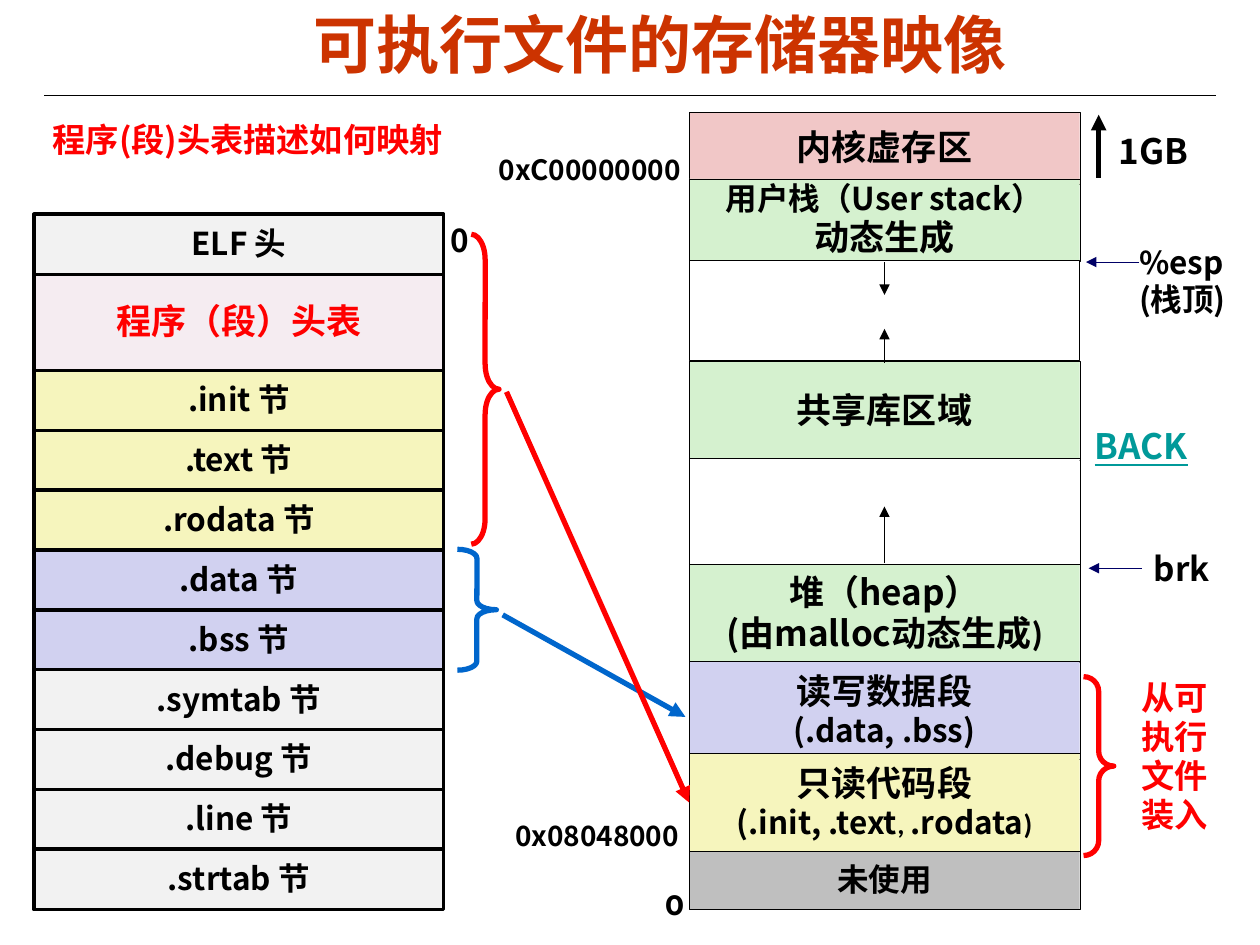
from dataclasses import dataclass
from typing import Optional

from lxml.etree import SubElement
from pptx import Presentation
from pptx.dml.color import RGBColor
from pptx.enum.shapes import MSO_CONNECTOR, MSO_SHAPE
from pptx.enum.text import MSO_ANCHOR, MSO_AUTO_SIZE, PP_ALIGN
from pptx.oxml.ns import qn
from pptx.util import Inches, Pt

COLORS = {
    "black": "000000", "white": "FFFFFF", "title": "CC3300", "red": "FF0000",
    "blue": "0066CC", "navy": "000066", "teal": "009999", "pink": "F1C7C7",
    "green": "D5F1CF", "lilac": "D1D1F0", "yellow": "F6F5BD", "gray": "BFBFBF",
    "light": "F2F2F2", "plum": "993366",
}
SANS = "Noto Sans CJK SC"
SECTION_LEFT, SECTION_WIDTH = 0.27, 3.25
REGION_LEFT, REGION_WIDTH = 5.47, 3.1


@dataclass
class Span:
    text: str
    size: int = 18
    font: str = SANS


@dataclass
class Cell:
    top: float
    height: float
    fill: str
    lines: list[list[Span]]
    color: str = "black"
    line_width: float = 0.26
    opacity: Optional[int] = None


@dataclass
class Label:
    left: float
    top: float
    width: float
    height: float
    lines: list[list[Span]]
    color: str = "black"
    wrap: bool = True
    spacing: float = 1.0
    side_inset: float = 0.1


@dataclass
class Arrow:
    start: tuple[float, float]
    end: tuple[float, float]
    color: str = "black"
    width: float = 0.26
    head: bool = True


@dataclass
class Brace:
    left: float
    top: float
    width: float
    height: float
    curve: float
    color: str


def rgb(name: str) -> RGBColor:
    return RGBColor.from_string(COLORS[name])


def write_text(box, lines: list[list[Span]], *, color: str = "black", align=PP_ALIGN.LEFT,
               anchor=MSO_ANCHOR.TOP, wrap: bool = True, spacing: float = 1.0,
               side_inset: float = 0.1, underline: bool = False) -> None:
    frame = box.text_frame
    frame.word_wrap = wrap
    frame.vertical_anchor = anchor
    frame.margin_left = frame.margin_right = Inches(side_inset)
    frame.margin_top = frame.margin_bottom = Inches(0.05)
    for index, spans in enumerate(lines):
        para = frame.add_paragraph() if index else frame.paragraphs[0]
        para.alignment = align
        para.line_spacing = spacing
        for span in spans:
            run = para.add_run()
            run.text = span.text
            run.font.size = Pt(span.size)
            run.font.bold = True
            run.font.underline = underline
            run.font.color.rgb = rgb(color)
            run.font.name = span.font
            SubElement(run.font._element, qn("a:ea"), typeface=SANS)


def draw_cell(page, cell: Cell, left: float, width: float) -> None:
    box = page.shapes.add_shape(MSO_SHAPE.RECTANGLE, Inches(left), Inches(cell.top),
                                Inches(width), Inches(cell.height))
    box.shadow.inherit = False
    box.fill.solid()
    box.fill.fore_color.rgb = rgb(cell.fill)
    if cell.opacity is not None:
        tint = box._element.spPr.find(qn("a:solidFill"))[0]
        SubElement(tint, qn("a:alpha"), val=str(cell.opacity * 1000))
    box.line.color.rgb = rgb("black")
    box.line.width = Pt(cell.line_width)
    write_text(box, cell.lines, color=cell.color, align=PP_ALIGN.CENTER,
               anchor=MSO_ANCHOR.MIDDLE, wrap=False, spacing=0.98)


def draw_label(page, label: Label, underline: bool = False) -> None:
    box = page.shapes.add_textbox(Inches(label.left), Inches(label.top),
                                  Inches(label.width), Inches(label.height))
    write_text(box, label.lines, color=label.color, wrap=label.wrap, underline=underline,
               spacing=label.spacing, side_inset=label.side_inset)
    box.text_frame.auto_size = MSO_AUTO_SIZE.SHAPE_TO_FIT_TEXT


def draw_arrow(page, arrow: Arrow) -> None:
    points = [Inches(value) for value in (*arrow.start, *arrow.end)]
    connector = page.shapes.add_connector(MSO_CONNECTOR.STRAIGHT, *points)
    connector.line.color.rgb = rgb(arrow.color)
    connector.line.width = Pt(arrow.width)
    if arrow.head:
        SubElement(connector.line._get_or_add_ln(), qn("a:tailEnd"), type="triangle")
    SubElement(connector._element.spPr, qn("a:effectLst"))


def draw_brace(page, brace: Brace) -> None:
    shape = page.shapes.add_shape(MSO_SHAPE.RIGHT_BRACE, Inches(brace.left), Inches(brace.top),
                                  Inches(brace.width), Inches(brace.height))
    shape.shadow.inherit = False
    shape.adjustments[0] = brace.curve
    shape.adjustments[1] = 0.5
    shape.fill.background()
    shape.line.color.rgb = rgb(brace.color)
    shape.line.width = Pt(3)


REGIONS = [
    Cell(0.89, 0.57, "pink", [[Span("内核虚存区", 20)]]),
    Cell(1.42, 0.65, "green", [[Span("用户栈（User stack）")], [Span("动态生成", 20, "Calibri")]]),
    Cell(2.07, 0.79, "white", [], line_width=0.75),
    Cell(2.87, 0.78, "green", [[Span("共享库区域", 20)]]),
    Cell(3.64, 0.84, "white", []),
    Cell(4.48, 0.78, "green", [[Span("堆（heap）", 20)],
                               [Span("(由malloc动态生成", 20), Span(")", 20, "Calibri")]]),
    Cell(5.25, 0.78, "lilac", [[Span("读写数据段", 20)], [Span("(.data, .bss)")]]),
    Cell(5.98, 0.78, "yellow", [[Span("只读代码段", 20)],
                                [Span("(.init, .text"), Span(", ", 16, "Calibri"),
                                 Span(".rodata"), Span(")", 16, "Calibri")]]),
    Cell(6.76, 0.46, "gray", [[Span("未使用")]]),
]
SECTION_FILLS = {
    "init": "yellow", "text": "yellow", "rodata": "yellow", "data": "lilac", "bss": "lilac",
    "symtab": "light", "debug": "light", "line": "light", "strtab": "light",
}
SECTIONS = [
    Cell(1.7, 0.48, "light", [[Span("ELF 头")]], line_width=2),
    Cell(2.18, 0.76, "plum", [[Span("程序（段）头表", 20)]], "red", 2, 9),
] + [
    Cell(2.94 + 0.475 * row, 0.48, fill, [[Span(f".{name} 节")]], line_width=2)
    for row, (name, fill) in enumerate(SECTION_FILLS.items())
]
LABELS = [
    Label(3.48, 1.72, 0.35, 0.4, [[Span("0")]], spacing=0.98),
    Label(9.04, 1.9, 0.8, 0.68, [[Span("%esp")], [Span("(栈顶)")]], spacing=0.97, side_inset=0),
    Label(9.06, 4.33, 0.64, 0.4, [[Span("brk", 19)]], wrap=False, spacing=0.94),
    Label(3.86, 1.18, 1.71, 0.35, [[Span("0xC00000000", 16)]], wrap=False, spacing=0.94),
    Label(3.99, 6.47, 1.56, 0.35, [[Span("0x08048000", 16)]], wrap=False, spacing=0.94),
    Label(5.18, 7.01, 0.35, 0.36, [[Span("0", 16, "Montserrat")]], wrap=False, spacing=0.98),
    Label(8.96, 5.34, 0.82, 1.34, [[Span("从可执行文件装入", 19, "Calibri")]], "red", spacing=0.98),
    Label(0.32, 0.9, 3.57, 0.42, [[Span("程序(段)头表描述如何映射", 19)]], "red"),
    Label(8.78, 0.98, 0.92, 0.43, [[Span("1GB", 20)]]),
]
BACK_LABEL = Label(8.59, 3.32, 1.03, 0.43, [[Span("BACK", 20)]], "teal")
ARROWS = [
    Arrow((0.35, 0.76), (9.65, 0.76), width=0.75, head=False),
    Arrow((9.04, 2.08), (8.62, 2.08), "navy"),
    Arrow((8.72, 1.41), (8.72, 0.91), width=3),
    Arrow((9.06, 4.51), (8.64, 4.51), "navy"),
    Arrow((7.02, 4.47), (7.02, 4.02)),
    Arrow((7.02, 2.88), (7.02, 2.61)),
    Arrow((7.02, 2.08), (7.02, 2.34)),
    Arrow((3.99, 4.88), (5.44, 5.69), "blue", 3),
    Arrow((4.02, 3.11), (5.47, 6.37), "red", 3),
]
BRACES = [
    Brace(8.6, 5.37, 0.24, 1.42, 0.49, "red"),
    Brace(3.63, 4.36, 0.31, 0.96, 0.23, "blue"),
    Brace(3.74, 1.86, 0.22, 2.46, 0.92, "red"),
]

deck = Presentation()
deck.slide_width, deck.slide_height = Inches(10), Inches(7.5)
page = deck.slides.add_slide(deck.slide_layouts[6])
title = page.shapes.add_textbox(Inches(0.47), Inches(0), Inches(9.53), Inches(0.68))
write_text(title, [[Span("可执行文件的存储器映像", 36, "Arial")]], color="title",
           align=PP_ALIGN.CENTER, anchor=MSO_ANCHOR.MIDDLE)
for region in REGIONS:
    draw_cell(page, region, REGION_LEFT, REGION_WIDTH)
for section in SECTIONS:
    draw_cell(page, section, SECTION_LEFT, SECTION_WIDTH)
for label in LABELS:
    draw_label(page, label)
draw_label(page, BACK_LABEL, underline=True)
for arrow in ARROWS:
    draw_arrow(page, arrow)
for brace in BRACES:
    draw_brace(page, brace)
deck.save("out.pptx")
